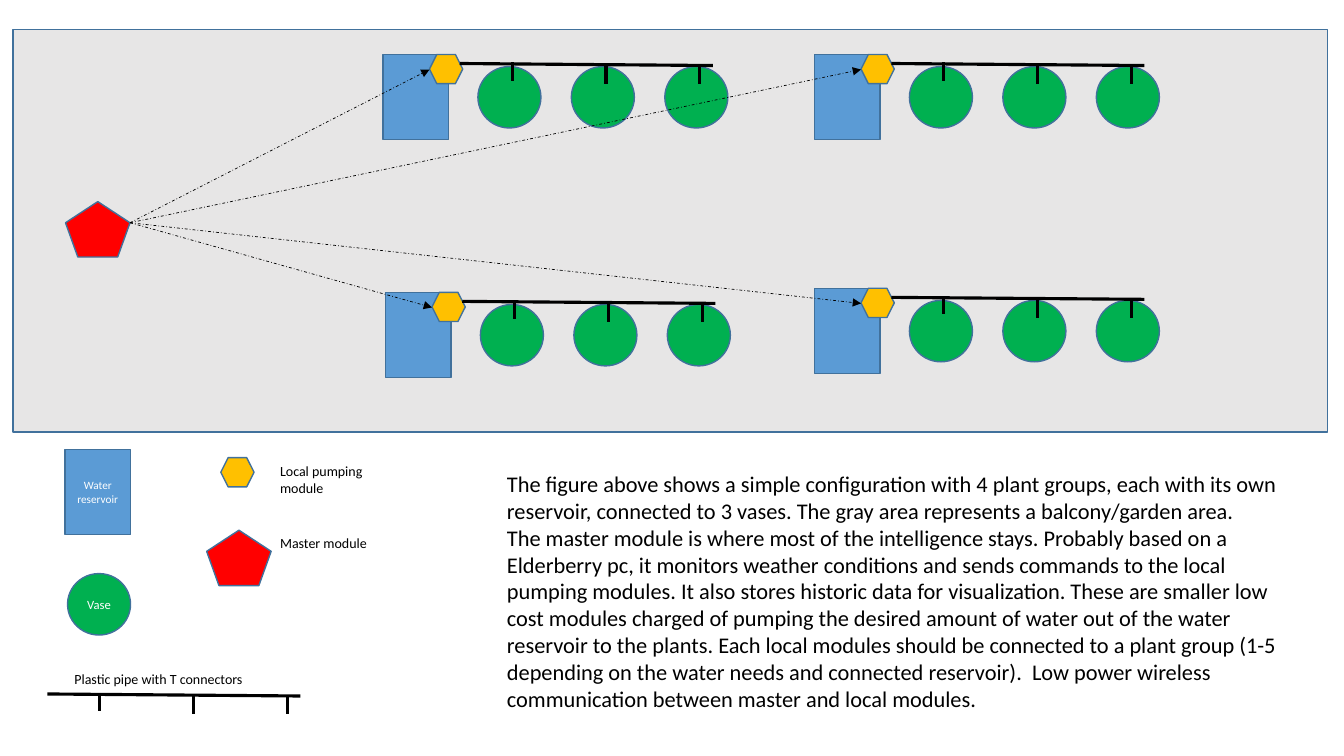
from lxml import etree
from pptx import Presentation
from pptx.dml.color import RGBColor
from pptx.enum.dml import MSO_LINE
from pptx.enum.shapes import MSO_CONNECTOR, MSO_SHAPE
from pptx.enum.text import MSO_ANCHOR, PP_ALIGN
from pptx.oxml.ns import qn
from pptx.util import Inches, Pt

RECT, OVAL = MSO_SHAPE.RECTANGLE, MSO_SHAPE.OVAL
HEXAGON, PENTAGON = MSO_SHAPE.HEXAGON, MSO_SHAPE.REGULAR_PENTAGON
STRAIGHT = MSO_CONNECTOR.STRAIGHT
DASH_DOT = MSO_LINE.DASH_DOT
MIDDLE, TOP = MSO_ANCHOR.MIDDLE, MSO_ANCHOR.TOP
CENTER, LEFT = PP_ALIGN.CENTER, PP_ALIGN.LEFT

GRAY = RGBColor(0xE7, 0xE6, 0xE6)
BLUE = RGBColor(0x5B, 0x9B, 0xD5)
OUTLINE = RGBColor(0x41, 0x71, 0x9C)
GREEN = RGBColor(0x00, 0xB0, 0x50)
RED = RGBColor(0xFF, 0x00, 0x00)
AMBER = RGBColor(0xFF, 0xC0, 0x00)
BLACK = RGBColor(0x00, 0x00, 0x00)
WHITE = RGBColor(0xFF, 0xFF, 0xFF)

FONT = "Calibri"
CELL = Inches(0.1)
GROUPS = [(38, 5.4), (80.8, 5.4), (38.25, 29), (80.8, 28.6)]
VASE_STEP = 9.27
TEE_STEP = 9.3
TEE_DROPS = (-0.1, 0.2, 0.2)
MASTER_TIP = (12.9, 22.1)
DESCRIPTION = [
    "The figure above shows a simple configuration with 4 plant groups, each with its own "
    "reservoir, connected to 3 vases. The gray area represents a balcony/garden area.",
    "The master module is where most of the intelligence stays. Probably based on a "
    "Elderberry pc, it monitors weather conditions and sends commands to the local pumping "
    "modules. It also stores historic data for visualization. These are smaller low cost "
    "modules charged of pumping the desired amount of water out of the water reservoir to "
    "the plants. Each local modules should be connected to a plant group (1-5 depending on "
    "the water needs and connected reservoir).  Low power wireless communication between "
    "master and local modules.",
]


def cells(*counts):
    """Convert grid cell counts to lengths."""
    return [round(n * CELL) for n in counts]


def write(tf, paragraphs, size, color, align, anchor):
    """Fill a text frame with one run per paragraph."""
    tf.word_wrap = True
    tf.vertical_anchor = anchor
    for i, text in enumerate(paragraphs):
        p = tf.paragraphs[0] if i == 0 else tf.add_paragraph()
        p.alignment = align
        r = p.add_run()
        r.text = text
        r.font.name, r.font.size = FONT, Pt(size)
        r.font.color.rgb = color


def block(s, kind, x, y, w, h, fill, text=None, size=8):
    """Add an outlined shape with an optional centred label."""
    sp = s.shapes.add_shape(kind, *cells(x, y, w, h))
    sp.shadow.inherit = False
    sp.fill.solid()
    sp.fill.fore_color.rgb = fill
    sp.line.color.rgb, sp.line.width = OUTLINE, Pt(1)
    if text:
        tf = sp.text_frame
        tf.margin_left = tf.margin_right = 0
        write(tf, [text], size, WHITE, CENTER, MIDDLE)


def reservoir(s, x, y, text=None):
    """Add a water reservoir."""
    block(s, RECT, x, y, 6.5, 8.45, BLUE, text)


def vase(s, x, y, text=None):
    """Add a vase."""
    block(s, OVAL, x, y, 6.25, 6.1, GREEN, text, 9)


def pump(s, x, y):
    """Add a local pumping module."""
    block(s, HEXAGON, x, y, 3.3, 2.9, AMBER)


def master(s, x, y):
    """Add a master module."""
    block(s, PENTAGON, x, y, 6.4, 5.5, RED)


def line(shapes, x1, y1, x2, y2, width):
    """Add a black straight line and return it."""
    cx = shapes.add_connector(STRAIGHT, *cells(x1, y1, x2, y2))
    cx.line.color.rgb, cx.line.width = BLACK, Pt(width)
    etree.SubElement(cx._element.spPr, qn("a:effectLst"))
    return cx


def radio_link(s, x, y):
    """Add a dashed arrow from the master module to a pump."""
    cx = line(s.shapes, *MASTER_TIP, x, y, 0.5)
    cx.line.dash_style = DASH_DOT
    etree.SubElement(cx.line._get_or_add_ln(), qn("a:tailEnd"), type="triangle")


def pipe(s, x, y):
    """Add a grouped pipe with three T connectors."""
    shapes = s.shapes.add_group_shape().shapes
    line(shapes, x, y, x + 25.1, y + 0.2, 2.25)
    for i, drop in enumerate(TEE_DROPS):
        tee = x + 5.2 + i * TEE_STEP
        line(shapes, tee, y + drop, tee, y + drop + 1.8, 2.25)


def plant_group(s, x, y):
    """Add three vases fed from one reservoir."""
    for i in range(3):
        vase(s, x + 9.4 + i * VASE_STEP, y + 1.2)
    reservoir(s, x, y)
    pump(s, x + 4.6, y)
    pipe(s, x + 7.6, y + 0.9)


def note(s, x, y, w, h, paragraphs, size=10):
    """Add a left-aligned text box."""
    sp = s.shapes.add_textbox(*cells(x, y, w, h))
    write(sp.text_frame, paragraphs, size, BLACK, LEFT, TOP)


def legend(s):
    """Add the key to the symbols."""
    reservoir(s, 6.45, 44.6, "Water reservoir")
    vase(s, 6.7, 56.9, "Vase")
    pump(s, 21.9, 45.4)
    pipe(s, 4.7, 68.85)
    note(s, 6.4, 66, 21.7, 2.7, ["Plastic pipe with T connectors"])
    note(s, 26.8, 45.4, 13.3, 4.4, ["Local pumping module"])
    master(s, 20.5, 52.6)
    note(s, 26.8, 52.5, 13.3, 2.7, ["Master module"])


def main():
    """Build the plant watering slide."""
    prs = Presentation()
    prs.slide_width, prs.slide_height = Inches(13.33), Inches(7.5)
    s = prs.slides.add_slide(prs.slide_layouts[6])
    block(s, RECT, 1.3, 2.95, 130.35, 39.9, GRAY)
    master(s, 6.5, 20)
    for x, y in GROUPS:
        plant_group(s, x, y)
    legend(s)
    note(s, 49.3, 46.15, 80, 25.2, DESCRIPTION, 16)
    for x, y in GROUPS:
        radio_link(s, x + 4.6, y + 1.5)
    prs.save("out.pptx")


if __name__ == "__main__":
    main()
